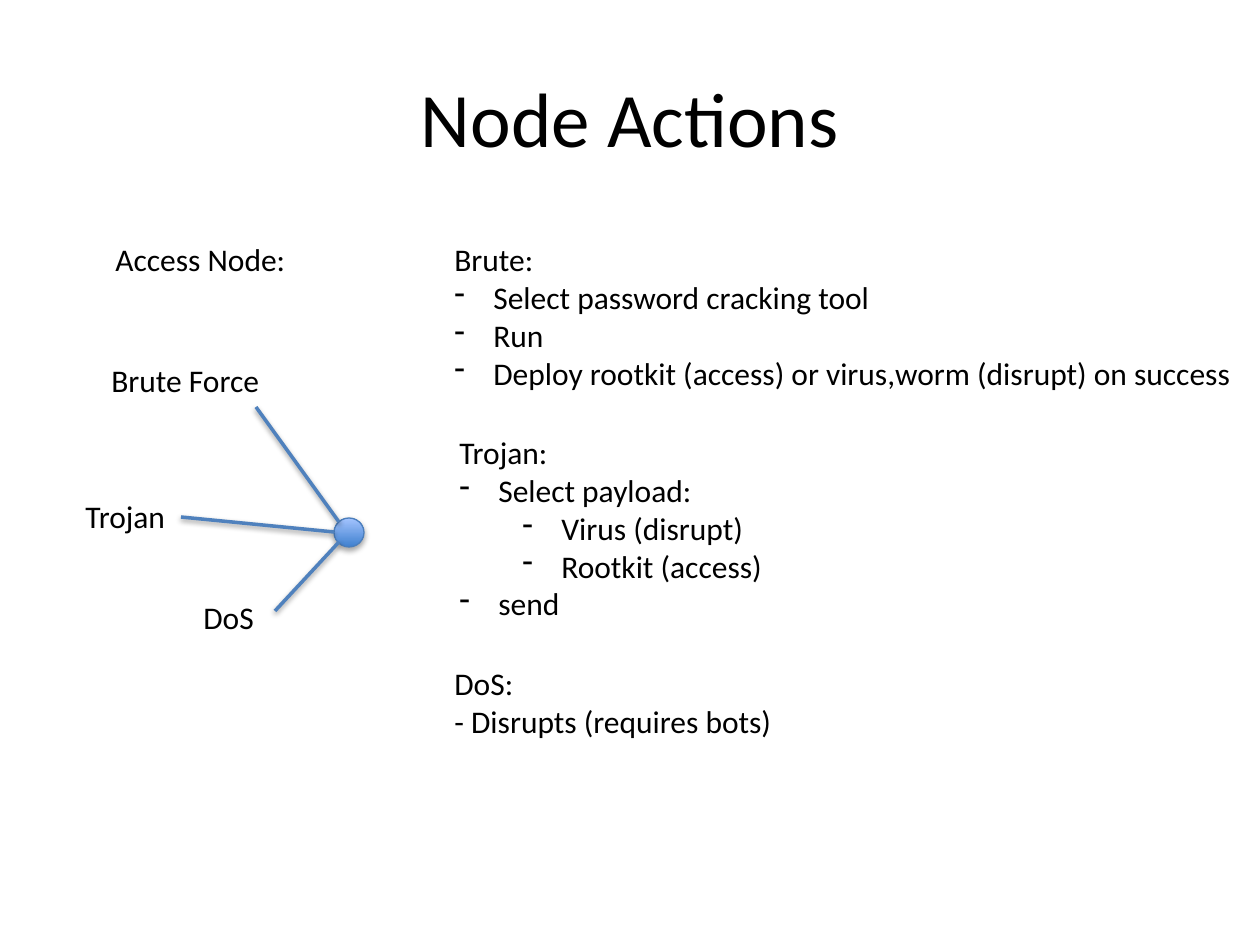
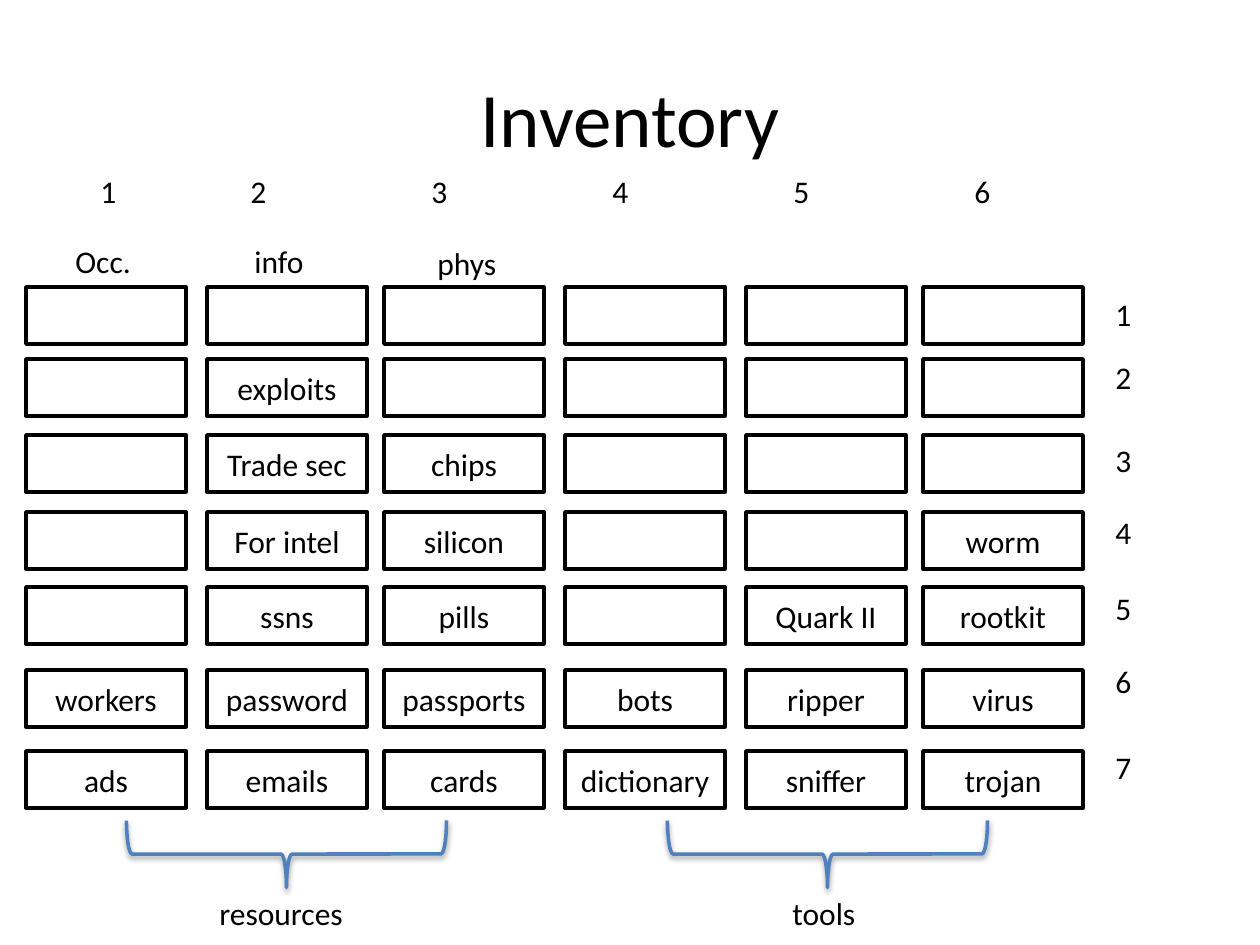
import pptx
import pptx.util
import pptx.dml.color
import pptx.enum.shapes
import pptx.enum.text
import pptx.oxml
import pptx.oxml.ns
from dataclasses import dataclass


@dataclass(frozen=True)
class Theme:
    font: str = "Calibri"
    title_size: int = 44
    body_size: int = 18
    ink: str = "000000"
    paper: str = "FFFFFF"
    accent: str = "4F81BD"
    node_line: str = "4B7EBC"
    node_dark: str = "3F80CE"
    node_light: str = "A4C4FF"
    stroke: float = 2
    node_stroke: float = 0.75


THEME = Theme()
SHAPES = pptx.enum.shapes.MSO_SHAPE
ALIGN = pptx.enum.text.PP_ALIGN
MIDDLE = pptx.enum.text.MSO_ANCHOR.MIDDLE
EMU_PER_PIXEL = 914400 / 126
PAGE_SIZE = (1260, 945)
TITLE_AREA = (63, 38, 1134, 158)
LABEL_HEIGHT = 50

# Content: node actions. A paragraph is (bullet level or None, text).
ACTION_LABELS = [
    ("Access Node:", (103, 234, 197, 127)),
    ("Brute Force", (99, 355, 176, LABEL_HEIGHT)),
    ("Trojan", (73, 491, 108, LABEL_HEIGHT)),
    ("DoS", (191, 592, 77, LABEL_HEIGHT)),
]
NODE_AREA = (334, 518, 30, 29)
NODE_LINKS = [(339, 522, 256, 407), (334, 532, 181, 517), (339, 542, 275, 611)]
ACTION_STEPS = [
    ((442, 234, 810, 165), [
        (None, "Brute:"),
        (0, "Select password cracking tool"),
        (0, "Run"),
        (0, "Deploy rootkit (access) or virus,worm (disrupt) on success"),
    ]),
    ((447, 427, 329, 204), [
        (None, "Trojan:"),
        (0, "Select payload:"),
        (1, "Virus (disrupt)"),
        (1, "Rootkit (access)"),
        (0, "send"),
    ]),
    ((442, 658, 346, 90), [
        (None, "DoS:"),
        (None, "- Disrupts (requires bots)"),
    ]),
]
BULLET_INDENT, LEVEL_INDENT = 39, 63

# Content: inventory grid, top row first
INVENTORY = [
    ["", "", "", "", "", ""],
    ["", "exploits", "", "", "", ""],
    ["", "Trade sec", "chips", "", "", ""],
    ["", "For intel", "silicon", "", "", "worm"],
    ["", "ssns", "pills", "", "Quark II", "rootkit"],
    ["workers", "password", "passports", "bots", "ripper", "virus"],
    ["ads", "emails", "cards", "dictionary", "sniffer", "trojan"],
]
COLUMN_LEFTS = [26, 207, 384, 565, 746, 923]
ROW_TOPS = [287, 359, 435, 512, 587, 670, 751]
CELL_SIZE = (160, 57)
ROW_NUMBER_TOPS = [289, 352, 435, 507, 583, 656, 742]
ROW_NUMBER_LEFT, ROW_NUMBER_WIDTH = 1103, 42
COLUMN_NUMBER_AREA = (88, 166, 927, LABEL_HEIGHT)
FIRST_TAB, TAB_STEP = 150, 181
COLUMN_HEADS = [
    ("Occ.", (63, 236, 82, LABEL_HEIGHT)),
    ("info", (242, 236, 76, LABEL_HEIGHT)),
    ("phys", (425, 238, 86, LABEL_HEIGHT)),
]
GROUPS = [
    ("resources", (207, 888, 151, LABEL_HEIGHT), 253),
    ("tools", (780, 888, 89, LABEL_HEIGHT), 794),
]
BRACE_TOP, BRACE_SIZE = 694, (67, 320)


def emu(pixels):
    return pptx.util.Emu(round(pixels * EMU_PER_PIXEL))


def place(area):
    return [emu(length) for length in area]


def color(code):
    return pptx.dml.color.RGBColor.from_string(code)


def set_line(shape, code, width=THEME.stroke):
    shape.line.color.rgb = color(code)
    shape.line.width = pptx.util.Pt(width)


def add_xml(parent, tag, **attributes):
    child = pptx.oxml.parse_xml(f"<a:{tag} {pptx.oxml.ns.nsdecls('a')}/>")
    for name, value in attributes.items():
        child.set(name, str(value))
    parent.append(child)
    return child


def add_shadow(shape, distance=20000, opacity=38000):
    effects = add_xml(shape._element.spPr, "effectLst")
    shadow = add_xml(effects, "outerShdw", blurRad=40000, dist=distance,
                     dir=5400000, rotWithShape=0)
    add_xml(add_xml(shadow, "srgbClr", val=THEME.ink), "alpha", val=opacity)


def format_text(frame, size=THEME.body_size, align=ALIGN.LEFT):
    for paragraph in frame.paragraphs:
        paragraph.alignment = align
        for span in paragraph.runs:
            span.font.name = THEME.font
            span.font.size = pptx.util.Pt(size)
            span.font.color.rgb = color(THEME.ink)


def add_text(page, text, area, wrap=False, **style):
    box = page.shapes.add_textbox(*place(area))
    frame = box.text_frame
    frame.word_wrap = wrap
    frame.text = text
    format_text(frame, **style)
    return frame


def add_page(deck, title):
    page = deck.slides.add_slide(deck.slide_layouts[6])
    frame = add_text(page, title, TITLE_AREA, wrap=True,
                     size=THEME.title_size, align=ALIGN.CENTER)
    frame.vertical_anchor = MIDDLE
    return page


def add_steps(page, area, steps):
    frame = add_text(page, "\n".join(text for _, text in steps), area)
    for paragraph, (level, _) in zip(frame.paragraphs, steps):
        if level is None:
            continue
        paragraph.level = level
        properties = paragraph._p.get_or_add_pPr()
        properties.set("marL", str(emu(BULLET_INDENT + level * LEVEL_INDENT)))
        properties.set("indent", str(-emu(BULLET_INDENT)))
        add_xml(properties, "buFontTx")
        add_xml(properties, "buChar", char="-")


def add_node(page):
    node = page.shapes.add_shape(SHAPES.OVAL, *place(NODE_AREA))
    node.fill.gradient()
    node.fill.gradient_angle = 90
    for stop, code in zip(node.fill.gradient_stops,
                          (THEME.node_dark, THEME.node_light)):
        stop.color.rgb = color(code)
    set_line(node, THEME.node_line, THEME.node_stroke)
    add_shadow(node, distance=23000, opacity=35000)


def add_link(page, ends):
    link = page.shapes.add_connector(
        pptx.enum.shapes.MSO_CONNECTOR.STRAIGHT, *place(ends))
    set_line(link, THEME.accent)
    add_shadow(link)


def add_cell(page, text, left, top):
    cell = page.shapes.add_shape(SHAPES.RECTANGLE, *place((left, top, *CELL_SIZE)))
    cell.shadow.inherit = False
    cell.fill.solid()
    cell.fill.fore_color.rgb = color(THEME.paper)
    set_line(cell, THEME.ink)
    if text:
        cell.text_frame.text = text
        cell.text_frame.vertical_anchor = MIDDLE
        format_text(cell.text_frame, align=ALIGN.CENTER)


def add_column_numbers(page):
    numbers = [str(number + 1) for number in range(len(COLUMN_LEFTS))]
    frame = add_text(page, "\t".join(numbers), COLUMN_NUMBER_AREA, wrap=True)
    tabs = add_xml(frame.paragraphs[0]._p.get_or_add_pPr(), "tabLst")
    for index in range(len(numbers) - 1):
        add_xml(tabs, "tab", pos=emu(FIRST_TAB + index * TAB_STEP), algn="l")


def add_brace(page, left):
    brace = page.shapes.add_shape(SHAPES.LEFT_BRACE,
                                  *place((left, BRACE_TOP, *BRACE_SIZE)))
    brace.rotation = 270
    brace.fill.background()
    set_line(brace, THEME.accent)
    add_shadow(brace)


deck = pptx.Presentation()
deck.slide_width, deck.slide_height = place(PAGE_SIZE)

# Node actions: labels linked to one node, steps on the right
page = add_page(deck, "Node Actions")
for text, area in ACTION_LABELS:
    add_text(page, text, area)
add_node(page)
for ends in NODE_LINKS:
    add_link(page, ends)
for area, steps in ACTION_STEPS:
    add_steps(page, area, steps)

# Inventory: grid of cells, numbered both ways, grouped by braces
page = add_page(deck, "Inventory")
for row, top in zip(INVENTORY, ROW_TOPS):
    for text, left in zip(row, COLUMN_LEFTS):
        add_cell(page, text, left, top)
for number, top in enumerate(ROW_NUMBER_TOPS, start=1):
    add_text(page, str(number),
             (ROW_NUMBER_LEFT, top, ROW_NUMBER_WIDTH, LABEL_HEIGHT))
add_column_numbers(page)
for text, area in COLUMN_HEADS:
    add_text(page, text, area)
for text, area, brace_left in GROUPS:
    add_text(page, text, area)
    add_brace(page, brace_left)

deck.save("out.pptx")
